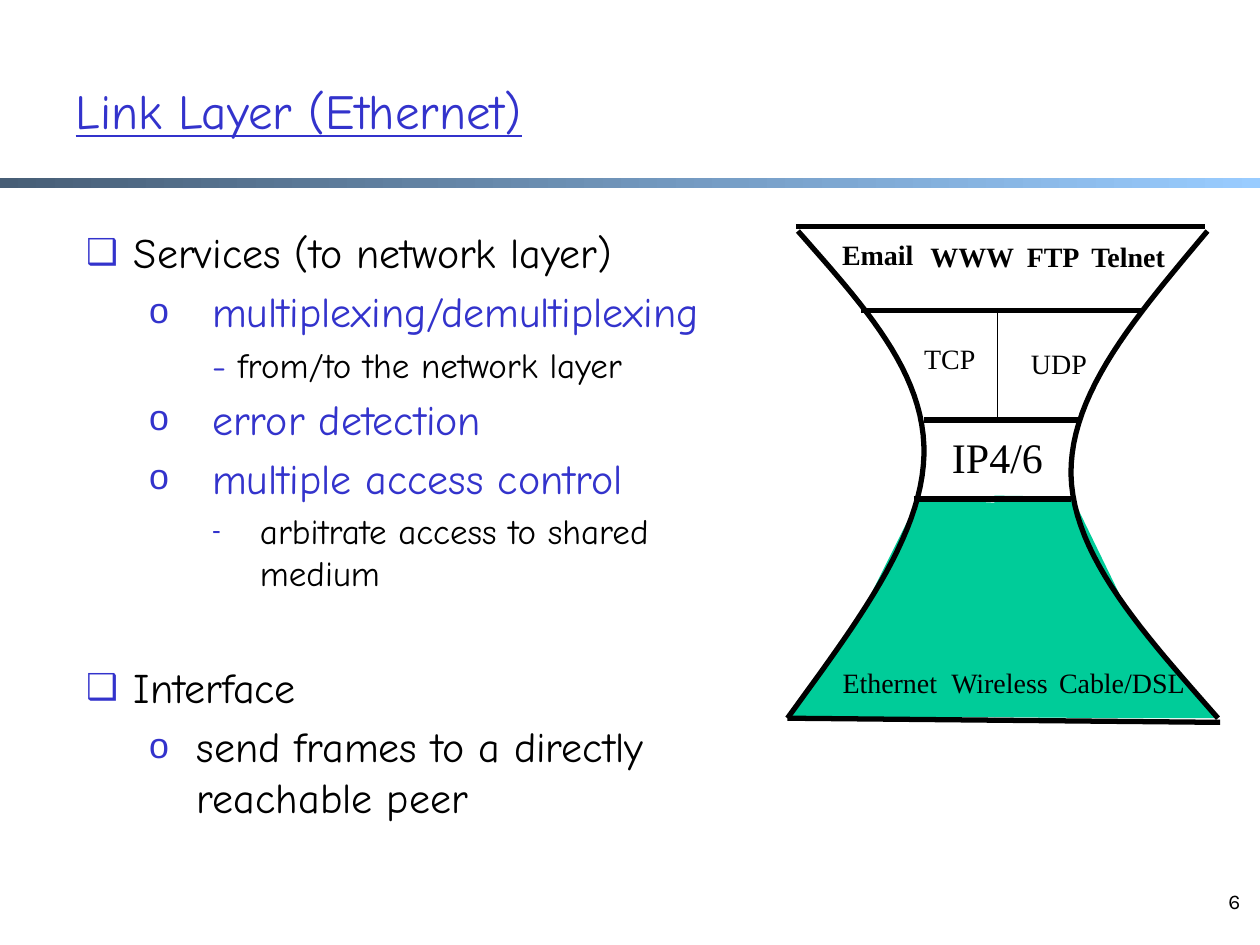
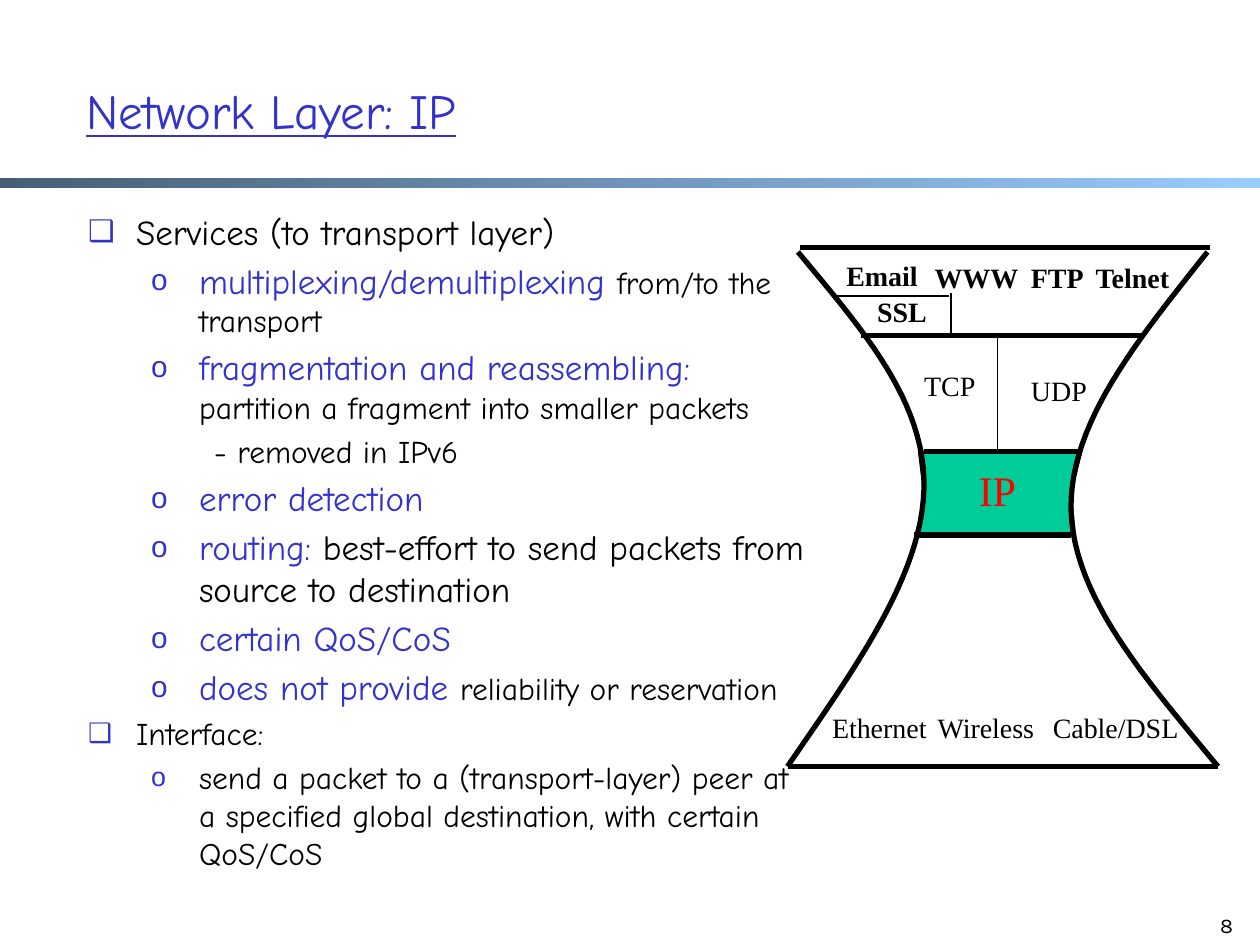
from dataclasses import dataclass
from typing import NamedTuple

from lxml.etree import SubElement
from pptx import Presentation
from pptx.dml.color import RGBColor
from pptx.enum.shapes import MSO_CONNECTOR, MSO_SHAPE
from pptx.enum.text import MSO_ANCHOR, MSO_AUTO_SIZE, PP_ALIGN
from pptx.oxml.ns import qn
from pptx.util import Emu, Inches, Pt

STRAIGHT = MSO_CONNECTOR.STRAIGHT
RECTANGLE = MSO_SHAPE.RECTANGLE
MIDDLE, TOP = MSO_ANCHOR.MIDDLE, MSO_ANCHOR.TOP
FIXED, GROW = MSO_AUTO_SIZE.NONE, MSO_AUTO_SIZE.SHAPE_TO_FIT_TEXT
LEFT, CENTER, RIGHT = PP_ALIGN.LEFT, PP_ALIGN.CENTER, PP_ALIGN.RIGHT

COLORS = {
    "ink": "000000",
    "accent": "3333CC",
    "highlight": "00CC99",
    "alert": "FF0000",
    "band_dark": "475E76",
    "band_light": "99CCFF",
}
HAND, SERIF, SANS = "Comic Neue", "Times New Roman", "Karla"

WIDTH, HEIGHT = Inches(10), Inches(7.5)
COLUMNS, ROWS = 120, 90
CURVE_STEPS = 24
THICK, THIN = 3, 1


class Point(NamedTuple):
    column: float
    row: float


class Box(NamedTuple):
    column: float
    row: float
    columns: float
    rows: float


class TextRun(NamedTuple):
    text: str
    size: float
    color: str = "ink"


class Bullet(NamedTuple):
    level: int
    margin: float
    indent: float
    character: str = ""
    percent: int = 85


class Item(NamedTuple):
    bullet: Bullet
    runs: list[TextRun]
    space_before: float | None = None


class Label(NamedTuple):
    text: str
    column: float
    columns: float
    share: float
    size: float = 16
    bold: bool = False
    color: str = "ink"


class Rule(NamedTuple):
    start_column: float
    start_share: float
    end_column: float
    end_share: float
    weight: float = THICK


@dataclass
class Hourglass:
    top: float
    rows: float
    base_end: Point
    application_shift: float
    center: Label
    link_columns: tuple[float, float, float]
    fills: list[list[Point]]
    fill_outline: bool
    extra_labels: list[Label]
    extra_rules: list[Rule]

    def row(self, share: float) -> float:
        return self.top + share * self.rows


@dataclass
class LayerSlide:
    title: str
    title_box: Box
    body_box: Box
    items: list[Item]
    number: str
    number_box: Box
    hourglass: Hourglass


BOX = Bullet(0, 0.38, -0.38, "❑")
CIRCLE = Bullet(1, 0.88, -0.38, "o")
WIDE_CIRCLE = Bullet(1, 1, -0.5, "o")
PLAIN = Bullet(2, 1, 0)
DASH = Bullet(2, 1.38, -0.38, "-", 75)

SIDES = [
    ((76, 82.1, 88.2, 88, 87.8, 81.4, 75), (0, 0.15, 0.29, 0.46, 0.63, 0.81, 1)),
    ((115, 108.4, 101.9, 102, 102.2, 109.1, 116), (0, 0.17, 0.33, 0.5, 0.67, 0.83, 1)),
]
SHELVES = [
    Rule(88, 0.388, 103, 0.388),
    Rule(87, 0.55, 102, 0.55),
    Rule(82, 0.163, 109, 0.163),
    Rule(95, 0.163, 95, 0.388, THIN),
]
APPLICATIONS = [("Email", 79, 9.2, 0), ("WWW", 87.4, 10.4, 0.004),
                ("FTP", 96.6, 7.4, 0.004), ("Telnet", 102.6, 9.7, 0.004)]
TRANSPORTS = [Label("TCP", 86.8, 7.3, 0.215), Label("UDP", 97, 7.7, 0.225)]
LINKS = [("Ethernet", 11.5), ("Wireless", 11.8), ("Cable/DSL", 14.5)]


def across(columns: float) -> Emu:
    return Emu(round(WIDTH * columns / COLUMNS))


def down(rows: float) -> Emu:
    return Emu(round(HEIGHT * rows / ROWS))


def frame(box: Box) -> tuple[Emu, Emu, Emu, Emu]:
    return across(box.column), down(box.row), across(box.columns), down(box.rows)


def rgb(name: str) -> RGBColor:
    return RGBColor.from_string(COLORS[name])


def add_run(paragraph, text_run: TextRun, font: str, bold: bool = False, underline: bool = False) -> None:
    run = paragraph.add_run()
    run.text = text_run.text
    run.font.name = font
    run.font.size = Pt(text_run.size)
    run.font.bold = bold
    run.font.underline = underline
    run.font.color.rgb = rgb(text_run.color)


def place(shape, box: Box, anchor) -> None:
    shape.left, shape.top, shape.width, shape.height = frame(box)
    shape.text_frame.auto_size = FIXED
    shape.text_frame.word_wrap = True
    shape.text_frame.vertical_anchor = anchor


def set_bullet(paragraph, bullet: Bullet) -> None:
    paragraph.level = bullet.level
    properties = paragraph._p.get_or_add_pPr()
    properties.set("marL", str(Inches(bullet.margin)))
    properties.set("indent", str(Inches(bullet.indent)))
    if not bullet.character:
        SubElement(properties, qn("a:buNone"))
        return
    color = SubElement(properties, qn("a:buClr"))
    SubElement(color, qn("a:srgbClr"), val=COLORS["accent"])
    SubElement(properties, qn("a:buSzPct"), val=str(bullet.percent * 1000))
    SubElement(properties, qn("a:buChar"), char=bullet.character)


def add_items(shape, items: list[Item]) -> None:
    text_frame = shape.text_frame
    for index, item in enumerate(items):
        paragraph = text_frame.add_paragraph() if index else text_frame.paragraphs[0]
        paragraph.alignment = LEFT
        if item.space_before is not None:
            paragraph.space_before = Pt(item.space_before)
        set_bullet(paragraph, item.bullet)
        for text_run in item.runs:
            add_run(paragraph, text_run, HAND)


def add_text(slide, box: Box, text_run: TextRun, font: str, alignment, bold: bool = False):
    shape = slide.shapes.add_textbox(*frame(box))
    shape.text_frame.word_wrap = True
    paragraph = shape.text_frame.paragraphs[0]
    paragraph.alignment = alignment
    add_run(paragraph, text_run, font, bold)
    return shape


def add_label(slide, hourglass: Hourglass, label: Label) -> None:
    box = Box(label.column, hourglass.row(label.share), label.columns, label.size * 0.26)
    shape = add_text(slide, box, TextRun(label.text, label.size, label.color), SERIF, CENTER, label.bold)
    shape.text_frame.word_wrap = False
    shape.text_frame.auto_size = GROW


def add_line(slide, start: Point, end: Point, weight: float) -> None:
    connector = slide.shapes.add_connector(
        STRAIGHT, across(start.column), down(start.row), across(end.column), down(end.row))
    connector.line.color.rgb = rgb("ink")
    connector.line.width = Pt(weight)
    SubElement(connector.element.spPr, qn("a:effectLst"))


def add_outline(slide, points: list[Point], fill: str = "", weight: float = 0) -> None:
    corners = [(across(point.column), down(point.row)) for point in points]
    builder = slide.shapes.build_freeform(*corners[0])
    builder.add_line_segments(corners[1:], close=bool(fill))
    shape = builder.convert_to_shape()
    shape.shadow.inherit = False
    if fill:
        shape.fill.solid()
        shape.fill.fore_color.rgb = rgb(fill)
    else:
        shape.fill.background()
    if weight:
        shape.line.color.rgb = rgb("ink")
        shape.line.width = Pt(weight)
    else:
        shape.line.fill.background()


def bezier(values: tuple[float, ...], share: float) -> float:
    start, first, second, end = values
    rest = 1 - share
    return rest**3 * start + 3 * rest**2 * share * first + 3 * rest * share**2 * second + share**3 * end


def add_hourglass(slide, hourglass: Hourglass) -> None:
    for points in hourglass.fills:
        add_outline(slide, points, "highlight", THIN if hourglass.fill_outline else 0)
    for columns, shares in SIDES:
        curve = [
            Point(bezier(columns[first:first + 4], step / CURVE_STEPS),
                  hourglass.row(bezier(shares[first:first + 4], step / CURVE_STEPS)))
            for first in (0, 3) for step in range(CURVE_STEPS + 1)
        ]
        add_outline(slide, curve, weight=THICK)
    for rule in SHELVES + hourglass.extra_rules:
        add_line(slide, Point(rule.start_column, hourglass.row(rule.start_share)),
                 Point(rule.end_column, hourglass.row(rule.end_share)), rule.weight)
    shift, rim = hourglass.application_shift, hourglass.top - 0.4
    add_line(slide, Point(75.8 + shift, rim), Point(114.8 + shift, rim), THICK)
    add_line(slide, Point(75, hourglass.row(1)), hourglass.base_end, THICK)
    applications = [Label(text, column + shift, columns, share, bold=True)
                    for text, column, columns, share in APPLICATIONS]
    links = [Label(text, column, columns, 0.88)
             for (text, columns), column in zip(LINKS, hourglass.link_columns)]
    for label in applications + TRANSPORTS + links + hourglass.extra_labels + [hourglass.center]:
        add_label(slide, hourglass, label)


def add_band(slide, layout) -> None:
    band = slide.shapes.add_shape(RECTANGLE, *frame(Box(0, 16.95, COLUMNS, 1)))
    band.shadow.inherit = False
    band.line.fill.background()
    band.fill.gradient()
    band.fill.gradient_angle = 0
    for stop, color in zip(band.fill.gradient_stops, ("band_dark", "band_light")):
        stop.color.rgb = rgb(color)
    layout.shapes.element.append(band.element)


def add_layer_slide(presentation, layout, content: LayerSlide):
    slide = presentation.slides.add_slide(layout)
    title, body = slide.shapes.title, slide.placeholders[1]
    place(title, content.title_box, MIDDLE)
    paragraph = title.text_frame.paragraphs[0]
    paragraph.alignment = LEFT
    add_run(paragraph, TextRun(content.title, 28, "accent"), HAND, underline=True)
    place(body, content.body_box, TOP)
    add_items(body, content.items)
    add_text(slide, content.number_box, TextRun(content.number, 12), SANS, RIGHT)
    add_hourglass(slide, content.hourglass)
    return slide


LINK_LAYER = LayerSlide(
    "Link Layer (Ethernet)", Box(6, 3, 109, 15), Box(7, 21, 68, 61),
    [
        Item(BOX, [TextRun("Services (to network layer)", 24)]),
        Item(WIDE_CIRCLE, [TextRun("multiplexing/demultiplexing", 24, "accent")]),
        Item(PLAIN, [TextRun("- ", 20, "accent"), TextRun("from/to the network layer", 20)]),
        Item(WIDE_CIRCLE, [TextRun("error detection", 24, "accent")]),
        Item(WIDE_CIRCLE, [TextRun("multiple access control", 24, "accent")]),
        Item(DASH, [TextRun("arbitrate access to shared medium", 20)]),
        Item(BOX, [TextRun("Interface", 24)], 39),
        Item(CIRCLE, [TextRun("send frames to a directly reachable peer", 24)]),
    ],
    "6", Box(91.3, 84, 28, 6),
    Hourglass(
        22, 46.4, Point(116.2, 68.8), 0, Label("IP4/6", 89.4, 11.2, 0.398, 24), (79, 89.3, 99.6),
        [
            [Point(94.7, 47.2), Point(94.8, 58.2), Point(94.7, 68.3), Point(106.4, 68.4),
             Point(115.7, 68.4), Point(107.4, 58.2), Point(102.1, 47.3)],
            [Point(87.5, 47.5), Point(82.4, 57.7), Point(75, 68.4), Point(94.8, 68.3),
             Point(95, 58.7), Point(95, 47.9)],
        ],
        False, [], [],
    ),
)

NETWORK_LAYER = LayerSlide(
    "Network Layer: IP", Box(7, 3, 102, 15), Box(7.2, 19.4, 71, 61),
    [
        Item(BOX, [TextRun("Services (to transport layer)", 20)]),
        Item(CIRCLE, [TextRun("multiplexing/demultiplexing ", 20, "accent"),
                      TextRun("from/to the transport", 18)]),
        Item(CIRCLE, [TextRun("fragmentation and reassembling: ", 20, "accent"),
                      TextRun("partition a fragment into smaller packets", 18)]),
        Item(PLAIN, [TextRun("- removed in IPv6", 18)]),
        Item(CIRCLE, [TextRun("error detection", 20, "accent")]),
        Item(CIRCLE, [TextRun("routing: ", 20, "accent"),
                      TextRun("best-effort to send packets from source to destination", 20)]),
        Item(CIRCLE, [TextRun("certain QoS/CoS", 20, "accent")]),
        Item(CIRCLE, [TextRun("does not provide ", 20, "accent"),
                      TextRun("reliability or reservation", 18)]),
        Item(BOX, [TextRun("Interface:", 18)]),
        Item(CIRCLE, [TextRun("send a packet to a (transport-layer) peer at a specified global "
                              "destination, with certain QoS/CoS", 18)]),
    ],
    "8", Box(112.6, 86.3, 6, 6),
    Hourglass(
        24, 49, Point(116, 73), 0.4, Label("IP", 92, 6, 0.4, 24, color="alert"), (78, 88, 99),
        [[Point(87.5, 43), Point(88, 47), Point(87.5, 51), Point(102.4, 51), Point(102, 47), Point(103, 43)]],
        True, [Label("SSL", 82.3, 7.2, 0.071, bold=True)],
        [Rule(90.6, 0.08, 90.6, 0.167, THIN), Rule(79.7, 0.086, 90.4, 0.086, THIN)],
    ),
)


def main() -> None:
    presentation = Presentation()
    presentation.slide_width, presentation.slide_height = WIDTH, HEIGHT
    layout = presentation.slide_layouts[1]
    slides = [add_layer_slide(presentation, layout, content) for content in (LINK_LAYER, NETWORK_LAYER)]
    add_band(slides[0], layout)
    presentation.save("out.pptx")


if __name__ == "__main__":
    main()
